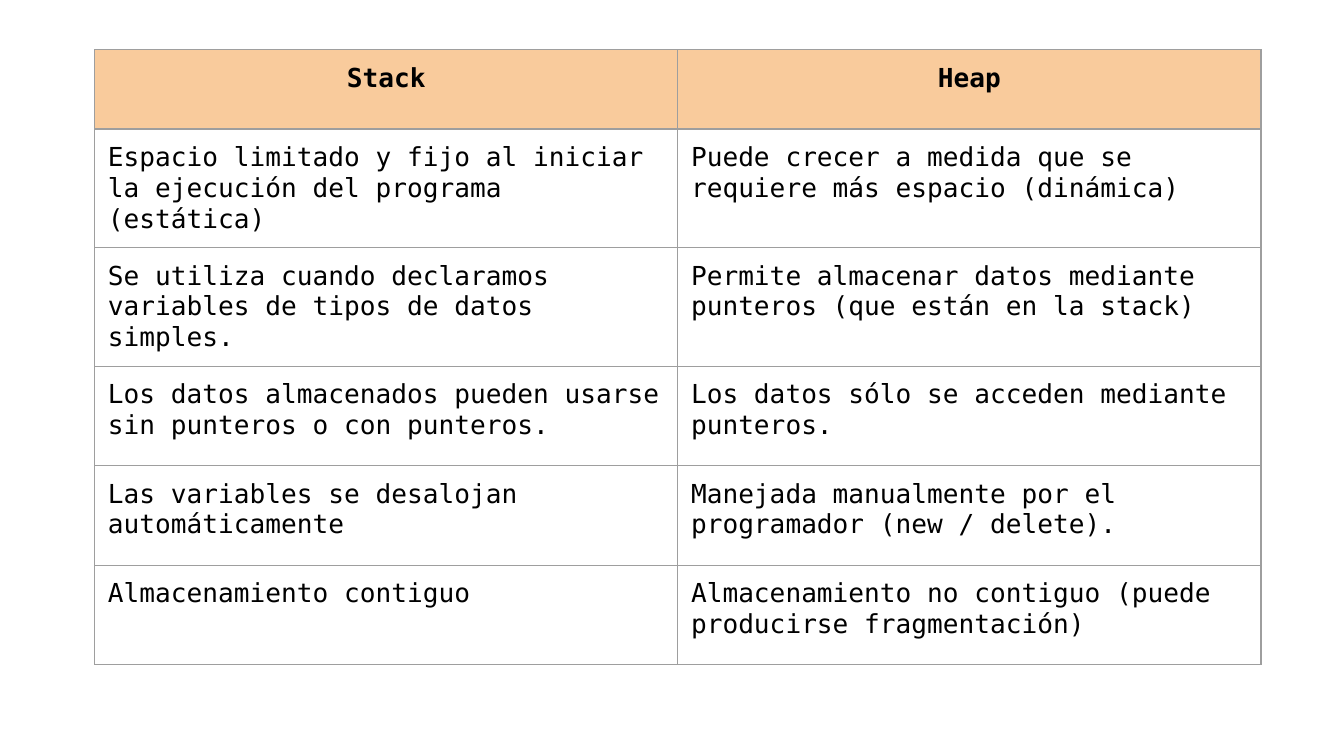
from lxml.etree import SubElement
from pptx import Presentation
from pptx.dml.color import RGBColor
from pptx.enum.text import MSO_ANCHOR, PP_ALIGN
from pptx.oxml.ns import qn
from pptx.util import Cm, Pt

COLORS = {"text": "000000", "header": "F9CB9C", "border": "9E9E9E"}
FONT = "DejaVu Sans Mono"
COLUMN_WIDTH = 11.02
ROW_HEIGHTS = [1.5, 2, 2, 1.88, 1.88, 1.88]
COMPARISON = [
    ("Stack", "Heap"),
    ("Espacio limitado y fijo al iniciar la ejecución del programa (estática)",
     "Puede crecer a medida que se requiere más espacio (dinámica)"),
    ("Se utiliza cuando declaramos variables de tipos de datos simples.",
     "Permite almacenar datos mediante punteros (que están en la stack)"),
    ("Los datos almacenados pueden usarse sin punteros o con punteros.",
     "Los datos sólo se acceden mediante punteros."),
    ("Las variables se desalojan automáticamente",
     "Manejada manualmente por el programador (new / delete)."),
    ("Almacenamiento contiguo",
     "Almacenamiento no contiguo (puede producirse fragmentación)"),
]


def write_text(frame, text, *, size=14, bold=False, align=PP_ALIGN.LEFT):
    """Write one formatted paragraph into a text frame."""
    paragraph = frame.paragraphs[0]
    paragraph.alignment = align
    run = paragraph.add_run()
    run.text = text
    run.font.name = FONT
    run.font.size = Pt(size)
    run.font.bold = bold
    run.font.color.rgb = RGBColor.from_string(COLORS["text"])


def outline_cell(cell, width=0.75):
    """Draw the same thin border on all four sides of a cell."""
    properties = cell._tc.get_or_add_tcPr()
    for side in ("a:lnL", "a:lnR", "a:lnT", "a:lnB"):
        border = SubElement(properties, qn(side), w=str(Pt(width)))
        fill = SubElement(border, qn("a:solidFill"))
        SubElement(fill, qn("a:srgbClr"), val=COLORS["border"])


def format_cell(cell, text, is_header):
    """Give a cell its margins, border, fill and text."""
    cell.margin_left = cell.margin_right = Cm(0.25)
    cell.margin_top = cell.margin_bottom = Cm(0.25)
    cell.vertical_anchor = MSO_ANCHOR.TOP
    outline_cell(cell)
    if is_header:
        cell.fill.solid()
        cell.fill.fore_color.rgb = RGBColor.from_string(COLORS["header"])
    else:
        cell.fill.background()
    align = PP_ALIGN.CENTER if is_header else PP_ALIGN.LEFT
    write_text(cell.text_frame, text, bold=is_header, align=align)


def add_comparison(slide, left, top):
    """Add the table that compares stack and heap."""
    column_count = len(COMPARISON[0])
    table = slide.shapes.add_table(
        len(COMPARISON), column_count, Cm(left), Cm(top),
        Cm(COLUMN_WIDTH * column_count), Cm(sum(ROW_HEIGHTS))).table
    table.first_row = table.horz_banding = False
    for column in table.columns:
        column.width = Cm(COLUMN_WIDTH)
    for row_index, (texts, height) in enumerate(zip(COMPARISON, ROW_HEIGHTS)):
        row = table.rows[row_index]
        row.height = Cm(height)
        for cell, text in zip(row.cells, texts):
            format_cell(cell, text, is_header=row_index == 0)


def main():
    """Build and save the slide."""
    presentation = Presentation()
    presentation.slide_width = Cm(25.4)
    presentation.slide_height = Cm(14.29)
    slide = presentation.slides.add_slide(presentation.slide_layouts[6])
    add_comparison(slide, left=1.79, top=0.94)
    presentation.save("out.pptx")


if __name__ == "__main__":
    main()
